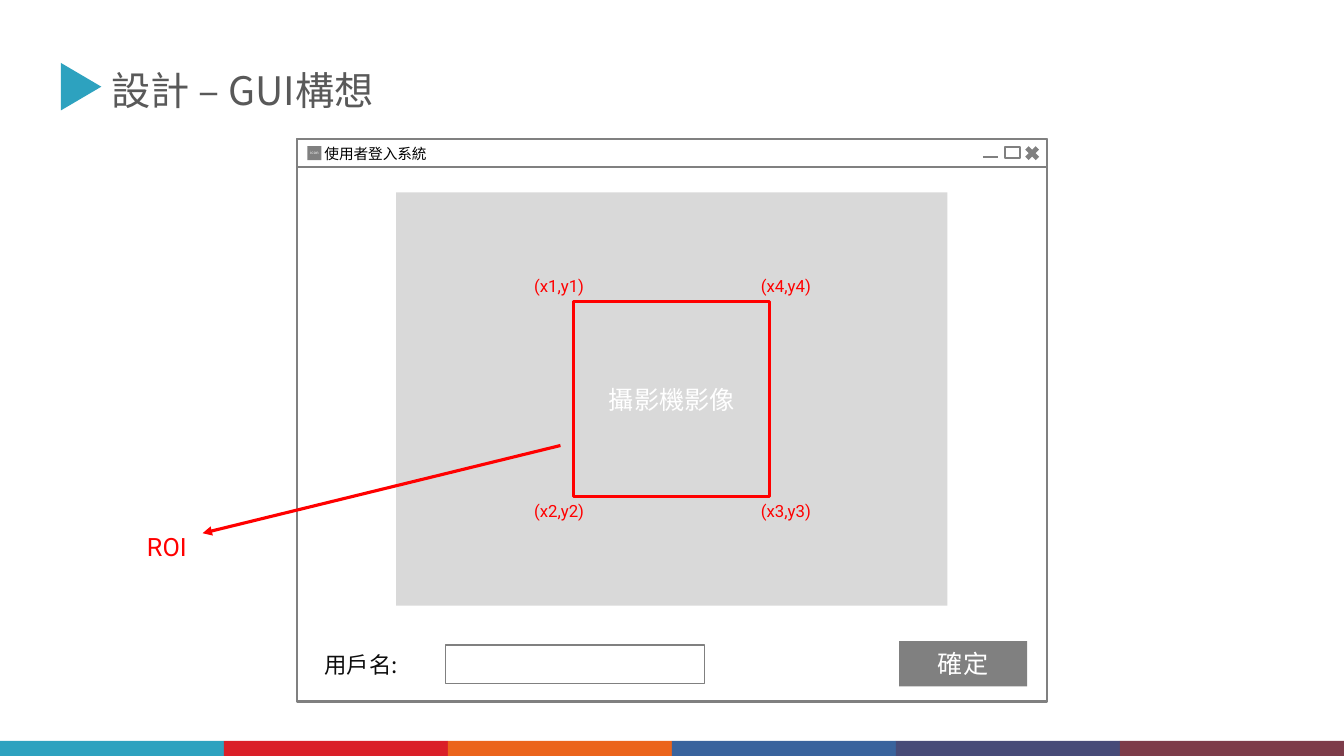
from lxml import etree
from pptx import Presentation, util as u
from pptx.dml.color import RGBColor
from pptx.enum import shapes, text
from pptx.oxml.ns import qn

CELL = 0.1
COLS, ROWS = 133.33, 75
SANS, LATIN = "Noto Sans CJK SC", "Roboto"
GRAY, RED, TEAL, WHITE = "808080", "FF0000", "2DA2BF", "FFFFFF"
BANDS = [TEAL, "DA1F28", "EB641B", "39639D", "474B78", "7D3C4A"]
KIND = shapes.MSO_SHAPE
MID = text.MSO_ANCHOR.MIDDLE


def hue(code):
    """Turn a hex string into a colour."""
    return RGBColor.from_string(code)


def grid(*cells):
    """Turn grid cells into lengths."""
    return [u.Inches(n * CELL) for n in cells]


def write(frame, words, size=12, color=RED, font=SANS, align=None,
          anchor=None, wrap=True, grow=False, inset=None):
    """Put formatted words into a text frame."""
    frame.word_wrap = wrap
    if grow:
        frame.auto_size = text.MSO_AUTO_SIZE.SHAPE_TO_FIT_TEXT
    if anchor is not None:
        frame.vertical_anchor = anchor
    if inset is not None:
        frame.margin_left = frame.margin_right = u.Inches(inset)
        frame.margin_top = frame.margin_bottom = u.Inches(inset)
    para = frame.paragraphs[0]
    if align is not None:
        para.alignment = align
    run = para.add_run()
    run.text = words
    run.font.size = u.Pt(size)
    run.font.color.rgb = hue(color)
    run.font.name = font
    etree.SubElement(run._r.get_or_add_rPr(), qn("a:ea"), typeface=font)


class Deck:
    """Holds the style and the current slide."""

    def __init__(self):
        """Start a deck with one blank slide."""
        self.file = Presentation()
        self.file.slide_width, self.file.slide_height = grid(COLS, ROWS)
        self.slide = self.file.slides.add_slide(self.file.slide_layouts[6])

    def shape(self, box, fill=None, line=None, kind=KIND.RECTANGLE, turn=0):
        """Draw a preset shape, with line as its width in points."""
        item = self.slide.shapes.add_shape(kind, *grid(*box))
        item.shadow.inherit = False
        item.rotation = turn
        if fill:
            item.fill.solid()
            item.fill.fore_color.rgb = hue(fill)
        else:
            item.fill.background()
        if line:
            item.line.width = u.Pt(line)
            item.line.color.rgb = hue(GRAY)
        else:
            item.line.fill.background()
        return item

    def panel(self, box, fill, words, **form):
        """Draw a filled box with centred white words."""
        item = self.shape(box, fill)
        write(item.text_frame, words, color=WHITE, anchor=MID,
              align=text.PP_ALIGN.CENTER, **form)

    def label(self, box, words, **form):
        """Place a text box."""
        item = self.slide.shapes.add_textbox(*grid(*box))
        write(item.text_frame, words, **form)

    def line(self, ends, color, width, arrow=False):
        """Draw a straight line, with an arrowhead at its end if asked."""
        item = self.slide.shapes.add_connector(
            shapes.MSO_CONNECTOR.STRAIGHT, *grid(*ends))
        item.line.color.rgb = hue(color)
        item.line.width = u.Pt(width)
        if arrow:
            etree.SubElement(item.line._get_or_add_ln(), qn("a:tailEnd"),
                             type="triangle")
        etree.SubElement(item._element.spPr, qn("a:effectLst"))


def header(deck):
    """Draw the title, its marker and the footer bands."""
    deck.label((10.1, 6.1, 51.8, 5.7), "設計 – GUI構想", size=28,
               color="595959", grow=True)
    deck.shape((5.7, 6.6, 4.7, 4), TEAL, kind=KIND.ISOSCELES_TRIANGLE, turn=90)
    step = COLS / len(BANDS)
    for i, color in enumerate(BANDS):
        deck.shape((i * step, 73.5, step, 1.5), color)


def window(deck):
    """Draw the login window and its controls."""
    left, top, width = 29.5, 13.8, 74.4
    for height in (55.8, 2.8):
        deck.shape((left, top, width, height), line=1.5)
    deck.shape((101.4, 14.2, 2, 2), GRAY, kind=KIND.MATH_MULTIPLY)
    deck.shape((99.7, 14.6, 1.5, 1.1), line=1)
    deck.line((97.5, 15.6, 99, 15.6), GRAY, 1.5)
    deck.label((31.2, top, 30.2, 2.8), "使用者登入系統", size=10.5,
               color="000000", anchor=MID, grow=True)
    deck.panel((30.5, 14.5, 1.4, 1.4), GRAY, "icon", size=3, inset=0.02)
    deck.panel((89.2, 63.6, 12.7, 4.5), GRAY, "確定", size=18)
    deck.shape((44.2, 64, 25.7, 3.8), line=1)
    deck.label((31.2, 64, 13, 3.8), "用戶名:", size=16, color="0D0D0D",
               anchor=MID)
    deck.panel((39.3, 19.1, 54.7, 41), "D9D9D9", "攝影機影像", size=18)


def region(deck):
    """Mark the region of interest and its corners."""
    frame = deck.shape((56.9, 29.9, 19.4, 19.4), line=2.25)
    frame.line.color.rgb = hue(RED)
    form = dict(font=LATIN, wrap=False, grow=True)
    lefts, tops = (52, 74.5), (26.9, 49.2)
    for i, (col, row) in enumerate([(0, 0), (0, 1), (1, 1), (1, 0)], 1):
        deck.label((lefts[col], tops[row], 7.2, 3), f"(x{i},y{i})", **form)
    deck.label((13.6, 52.2, 6.5, 4), "ROI", size=18, **form)
    deck.line((55.6, 44.2, 20.1, 52.9), RED, 2.25, arrow=True)


def main():
    """Build and save the slide."""
    deck = Deck()
    header(deck)
    window(deck)
    region(deck)
    deck.file.save("out.pptx")


if __name__ == "__main__":
    main()
